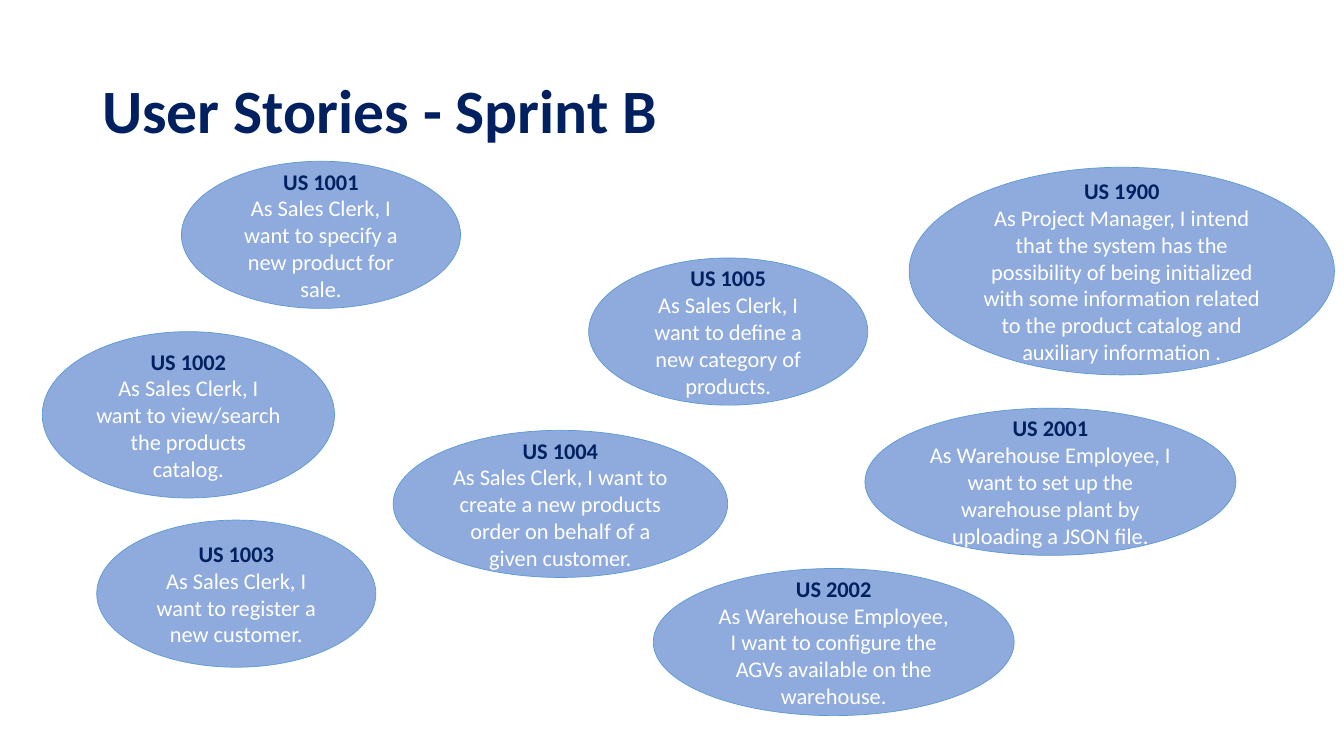
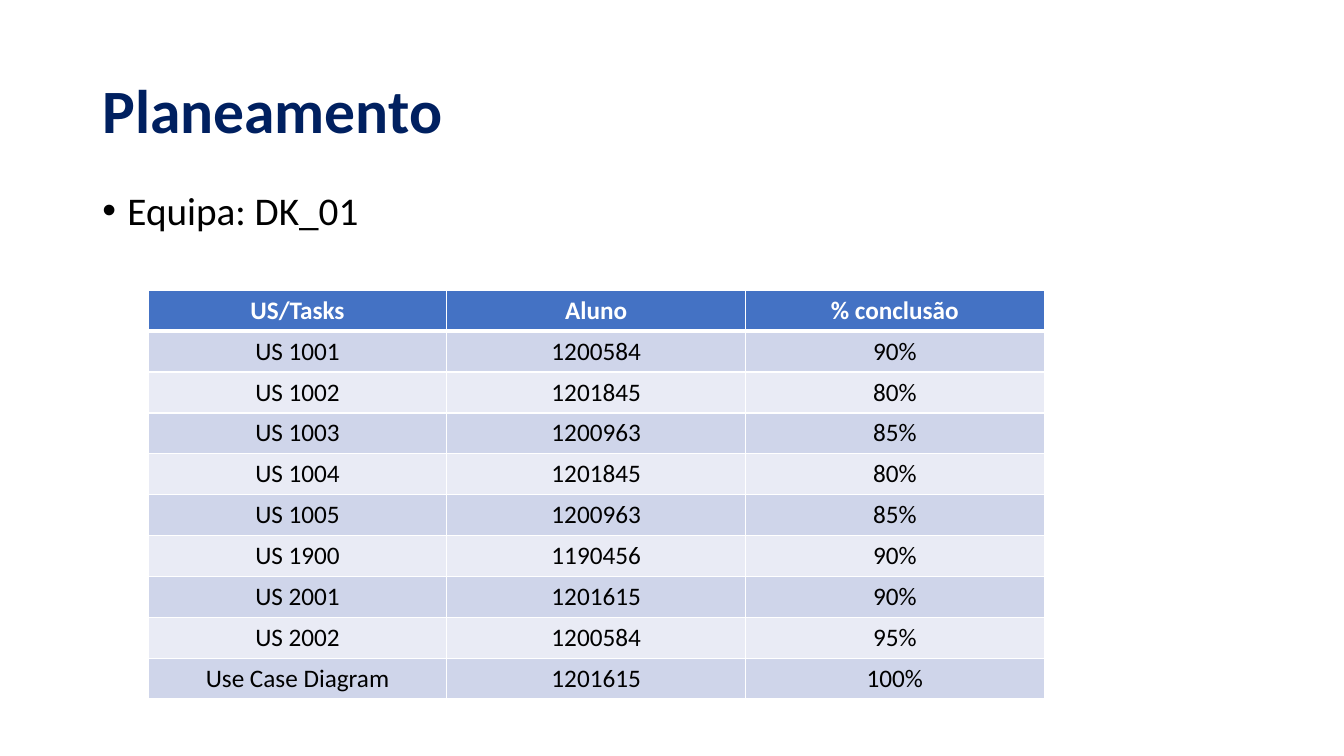
"""Build two sprint planning slides: user stories and task progress."""
from dataclasses import dataclass

from lxml import etree
from pptx import Presentation
from pptx import util as u
from pptx.dml import color
from pptx.enum import shapes, text
from pptx.oxml import ns

FONT = "Calibri"
NAVY, WHITE, BLACK = "002060", "FFFFFF", "000000"
BUBBLE_FILL, BUBBLE_LINE = "8FAADC", "5B9BD5"
HEADER_FILL, BANDS = "4472C4", ("CFD5EA", "E9EBF5")
MARGIN, CONTENT_WIDTH = 66, 828
BULLET_INDENT = 18
COLUMN_WIDTH, ROW_HEIGHT = 213.36, 29.2
THIN, THICK = 1, 3


@dataclass(frozen=True)
class Story:
    """A user story and the ellipse that holds it, in points."""
    code: str
    wish: str
    left: float
    top: float
    width: float = 199.4
    height: float = 105.1


@dataclass(frozen=True)
class Task:
    """A task, the student in charge and its completion."""
    name: str
    student: str
    done: str


STORIES = (
    Story("US 1001", "As Sales Clerk, I want to specify a new product for sale.", 129.6, 115.2),
    Story("US 1002", "As Sales Clerk, I want to view/search the products catalog.",
          30.2, 236.9, 208.8, 118.8),
    Story("US 1003", "As Sales Clerk, I want to register a new customer.", 69.1, 371.5),
    Story("US 1004", "As Sales Clerk, I want to create a new products order on behalf "
          "of a given customer.", 280.8, 307.4, 239),
    Story("US 1005", "As Sales Clerk, I want to define a new category of products.",
          420.5, 184.3),
    Story("US 1900", "As Project Manager, I intend that the system has the possibility of "
          "being initialized with some information related to the product catalog and "
          "auxiliary information .", 649.4, 119.5, 303.8, 148.3),
    Story("US 2001", "As Warehouse Employee, I want to set up the warehouse plant by "
          "uploading a JSON file.", 617.8, 291.6, 265),
    Story("US 2002", "As Warehouse Employee, I want to configure the AGVs available on "
          "the warehouse.", 466.6, 406.1, 257.8),
)

HEADINGS = ("US/Tasks", "Aluno", "% conclusão")
TASKS = (
    Task("US 1001", "1200584", "90%"),
    Task("US 1002", "1201845", "80%"),
    Task("US 1003", "1200963", "85%"),
    Task("US 1004", "1201845", "80%"),
    Task("US 1005", "1200963", "85%"),
    Task("US 1900", "1190456", "90%"),
    Task("US 2001", "1201615", "90%"),
    Task("US 2002", "1200584", "95%"),
    Task("Use Case Diagram", "1201615", "100%"),
)


def rgb(value: str) -> color.RGBColor:
    """Turn a hex string into a colour."""
    return color.RGBColor.from_string(value)


def paint(target, value: str) -> None:
    """Give a shape or cell a solid fill."""
    target.fill.solid()
    target.fill.fore_color.rgb = rgb(value)


def add_span(para, words: str, size: float, ink: str, bold: bool = False) -> None:
    """Add one run to a paragraph."""
    span = para.add_run()
    span.text = words
    span.font.name = FONT
    span.font.size = u.Pt(size)
    span.font.bold = bold
    span.font.color.rgb = rgb(ink)


def add_text_box(page, top: float, height: float, anchor):
    """Add a text box across the content width and return its paragraph."""
    box = page.shapes.add_textbox(u.Pt(MARGIN), u.Pt(top), u.Pt(CONTENT_WIDTH), u.Pt(height))
    box.text_frame.word_wrap = True
    box.text_frame.vertical_anchor = anchor
    para = box.text_frame.paragraphs[0]
    para.line_spacing = 0.9
    return para


def add_page(deck, title: str):
    """Add a blank page with the shared title style."""
    page = deck.slides.add_slide(deck.slide_layouts[6])
    para = add_text_box(page, 28.8, 104.4, text.MSO_ANCHOR.MIDDLE)
    add_span(para, title, 44, NAVY, bold=True)
    return page


def add_bullet(page, words: str) -> None:
    """Add the bulleted line below the title."""
    para = add_text_box(page, 133.2, 46, text.MSO_ANCHOR.TOP)
    para.space_before = u.Pt(10)
    add_span(para, words, 28, BLACK)
    props = para._p.get_or_add_pPr()
    props.set("marL", str(u.Pt(BULLET_INDENT)))
    props.set("indent", str(-u.Pt(BULLET_INDENT)))
    etree.SubElement(props, ns.qn("a:buFont")).set("typeface", "Arial")
    etree.SubElement(props, ns.qn("a:buChar")).set("char", "•")


def add_story(page, story: Story) -> None:
    """Draw one user story ellipse."""
    box = page.shapes.add_shape(shapes.MSO_SHAPE.OVAL, u.Pt(story.left), u.Pt(story.top),
                                u.Pt(story.width), u.Pt(story.height))
    box.shadow.inherit = False
    paint(box, BUBBLE_FILL)
    box.line.color.rgb = rgb(BUBBLE_LINE)
    box.line.width = u.Pt(0.5)
    frame = box.text_frame
    frame.word_wrap = True
    frame.vertical_anchor = text.MSO_ANCHOR.MIDDLE
    code, wish = frame.paragraphs[0], frame.add_paragraph()
    add_span(code, story.code, 16, NAVY, bold=True)
    add_span(wish, story.wish, 16, WHITE)
    for para in (code, wish):
        para.alignment = text.PP_ALIGN.CENTER


def add_borders(cell, top: float, bottom: float) -> None:
    """Draw white borders round a cell."""
    props = cell._tc.get_or_add_tcPr()
    for side, width in (("L", THIN), ("R", THIN), ("T", top), ("B", bottom)):
        line = etree.SubElement(props, ns.qn(f"a:ln{side}"), w=str(u.Pt(width)))
        fill = etree.SubElement(line, ns.qn("a:solidFill"))
        etree.SubElement(fill, ns.qn("a:srgbClr"), val=WHITE)


def add_task_table(page, left: float, top: float) -> None:
    """Draw the task table with a header and banded rows."""
    rows = [HEADINGS] + [(task.name, task.student, task.done) for task in TASKS]
    table = page.shapes.add_table(
        len(rows), len(HEADINGS), u.Pt(left), u.Pt(top),
        u.Pt(COLUMN_WIDTH * len(HEADINGS)), u.Pt(ROW_HEIGHT * len(rows))).table
    for column in table.columns:
        column.width = u.Pt(COLUMN_WIDTH)
    for index, words in enumerate(rows):
        header = index == 0
        table.rows[index].height = u.Pt(ROW_HEIGHT)
        for cell, word in zip(table.rows[index].cells, words):
            add_borders(cell, THICK if index == 1 else THIN, THICK if header else THIN)
            paint(cell, HEADER_FILL if header else BANDS[(index - 1) % 2])
            para = cell.text_frame.paragraphs[0]
            para.alignment = text.PP_ALIGN.CENTER
            add_span(para, word, 18, WHITE if header else BLACK, bold=header)


def main() -> None:
    """Build and save the deck."""
    deck = Presentation()
    deck.slide_width, deck.slide_height = u.Pt(960), u.Pt(540)
    page = add_page(deck, "User Stories - Sprint B")
    for story in STORIES:
        add_story(page, story)
    page = add_page(deck, "Planeamento")
    add_bullet(page, "Equipa: DK_01")
    add_task_table(page, 105.84, 207.36)
    deck.save("out.pptx")


if __name__ == "__main__":
    main()
